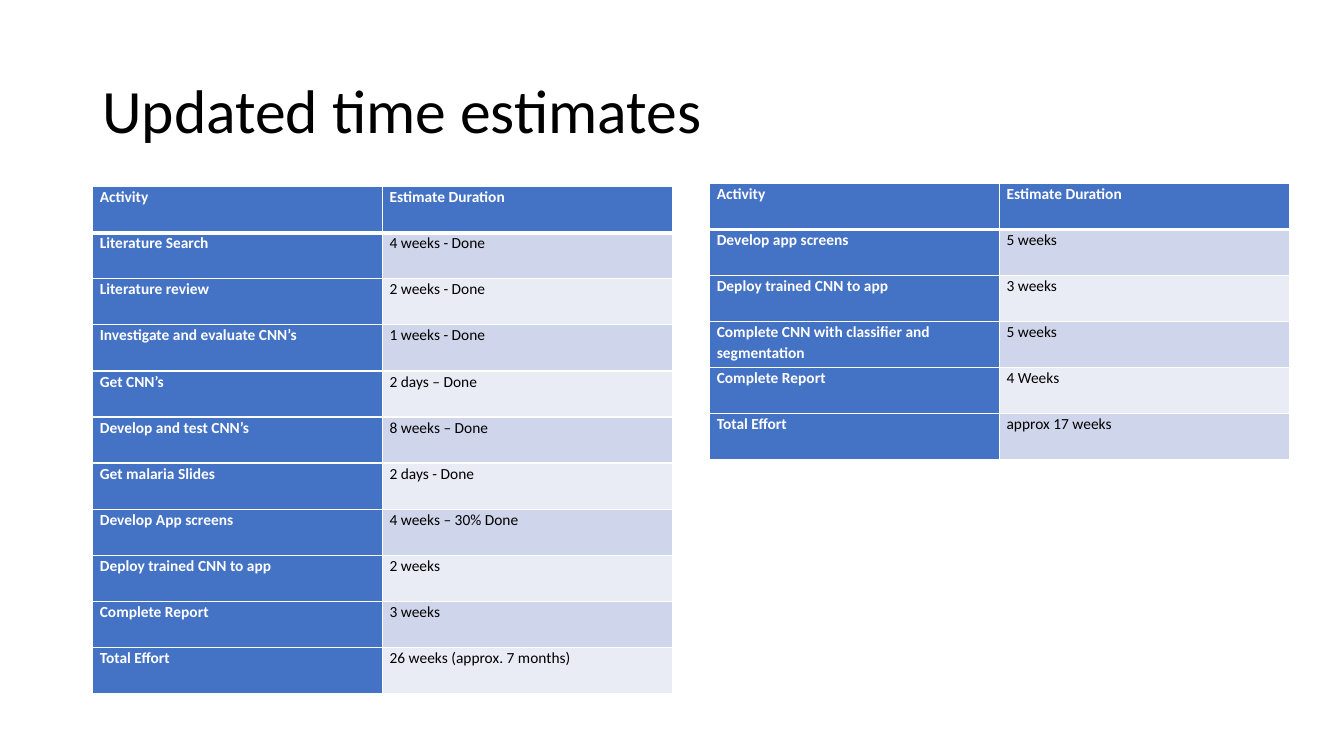
from lxml.etree import SubElement
from pptx import Presentation
from pptx.dml.color import RGBColor
from pptx.enum.text import MSO_ANCHOR
from pptx.oxml.ns import qn
from pptx.util import Pt

COLORS = {"header": "4472C4", "odd": "CFD5EA", "even": "E9EBF5",
          "white": "FFFFFF", "black": "000000"}
COLUMN_WIDTH, ROW_HEIGHT = 207, 32.93


def write_text(frame, text, size=11, color="black", bold=False,
               line_spacing=1.07, space_after=8):
    frame.word_wrap = True
    paragraph = frame.paragraphs[0]
    paragraph.line_spacing = line_spacing
    paragraph.space_after = Pt(space_after)
    run = paragraph.add_run()
    run.text = text
    run.font.name = "Calibri"
    run.font.size = Pt(size)
    run.font.bold = bold
    run.font.color.rgb = RGBColor.from_string(COLORS[color])


def add_borders(cell, **widths):
    properties = cell._tc.get_or_add_tcPr()
    for side in ("L", "R", "T", "B"):
        line = SubElement(properties, qn(f"a:ln{side}"), w=str(Pt(widths.get(side, 1))))
        fill = SubElement(line, qn("a:solidFill"))
        SubElement(fill, qn("a:srgbClr"), val=COLORS["white"])


presentation = Presentation()
presentation.slide_width = Pt(960)
presentation.slide_height = Pt(540)
slide = presentation.slides.add_slide(presentation.slide_layouts[6])

# Title
title = slide.shapes.add_textbox(Pt(66), Pt(28.75), Pt(828), Pt(104.4))
title.text_frame.vertical_anchor = MSO_ANCHOR.MIDDLE
write_text(title.text_frame, "Updated time estimates", size=44,
           line_spacing=0.9, space_after=0)

# Estimates: left edge, top edge and rows of each table
header = ("Activity", "Estimate Duration")
first_estimates = [
    header,
    ("Literature Search", "4 weeks - Done"),
    ("Literature review", "2 weeks - Done"),
    ("Investigate and evaluate CNN’s", "1 weeks - Done"),
    ("Get CNN’s", "2 days – Done"),
    ("Develop and test CNN’s", "8 weeks – Done"),
    ("Get malaria Slides", "2 days - Done"),
    ("Develop App screens", "4 weeks – 30% Done"),
    ("Deploy trained CNN to app", "2 weeks"),
    ("Complete Report", "3 weeks"),
    ("Total Effort", "26 weeks (approx. 7 months)"),
]
updated_estimates = [
    header,
    ("Develop app screens", "5 weeks"),
    ("Deploy trained CNN to app", "3 weeks"),
    ("Complete CNN with classifier and segmentation", "5 weeks"),
    ("Complete Report", "4 Weeks"),
    ("Total Effort", "approx 17 weeks"),
]

# Tables
for left, top, rows in ((66.3, 133.3, first_estimates), (507, 131, updated_estimates)):
    table = slide.shapes.add_table(
        len(rows), 2, Pt(left), Pt(top),
        Pt(2 * COLUMN_WIDTH), Pt(len(rows) * ROW_HEIGHT)).table
    table.first_col = True
    for column in table.columns:
        column.width = Pt(COLUMN_WIDTH)
    for row_index, row in enumerate(rows):
        table.rows[row_index].height = Pt(ROW_HEIGHT)
        for column_index, text in enumerate(row):
            cell = table.cell(row_index, column_index)
            heading = row_index == 0 or column_index == 0
            band = "odd" if row_index % 2 else "even"
            add_borders(cell, T=3 if row_index == 1 else 1, B=3 if row_index == 0 else 1)
            cell.fill.solid()
            cell.fill.fore_color.rgb = RGBColor.from_string(
                COLORS["header" if heading else band])
            cell.margin_left = cell.margin_right = Pt(5)
            cell.margin_top = cell.margin_bottom = Pt(0)
            write_text(cell.text_frame, text, bold=heading,
                       color="white" if heading else "black")

presentation.save("out.pptx")
